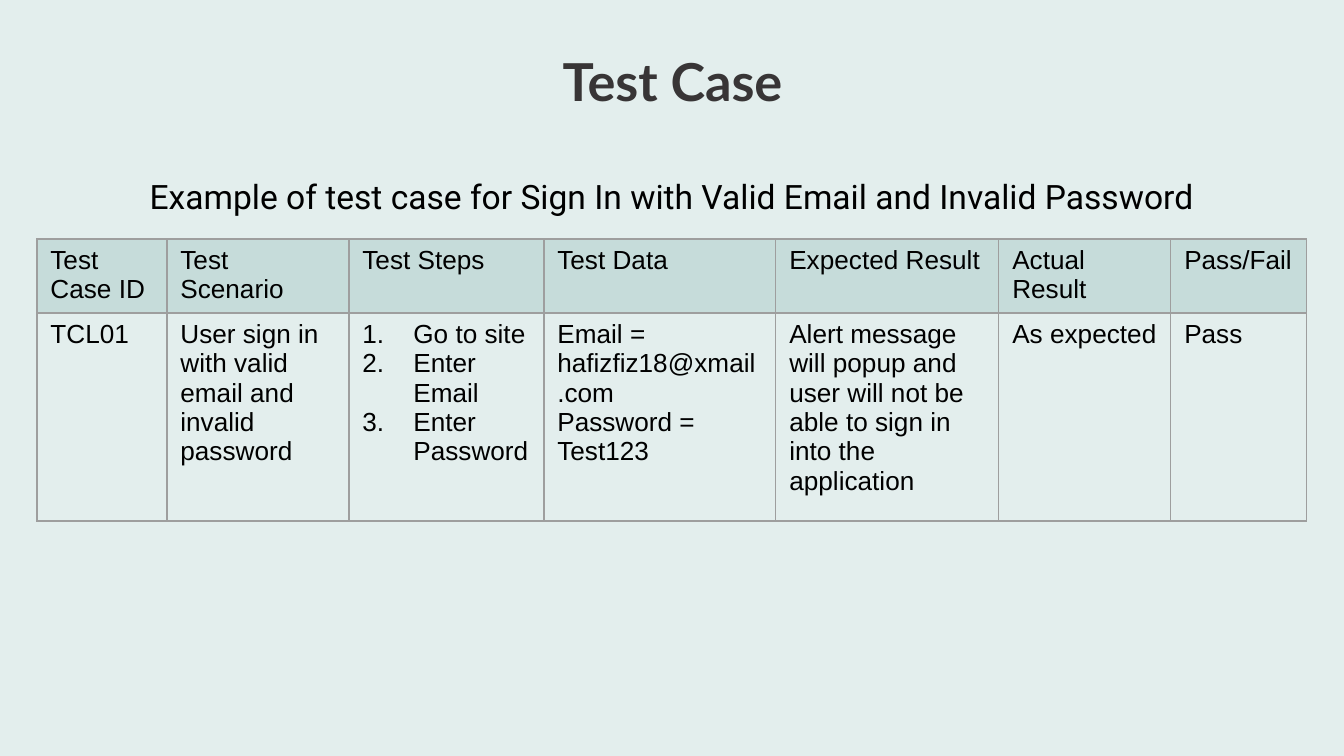
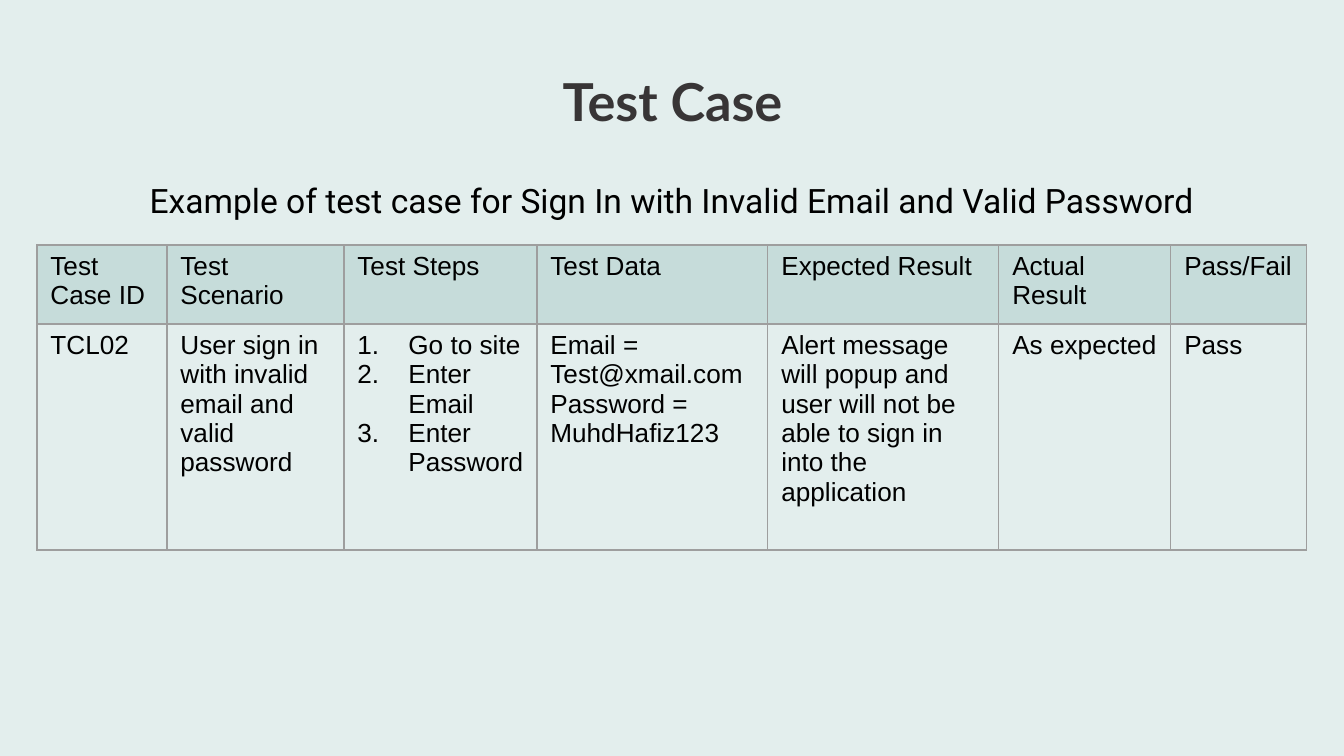
import pptx
import pptx.dml.color
import pptx.enum.text
import pptx.oxml
import pptx.oxml.ns
import pptx.util

PAPER, HEADER, GRID = "E3EEED", "C6DCDA", "9E9E9E"
INK, BLACK = "383536", "000000"
TITLE_FONT = {"name": "Lato", "size": pptx.util.Pt(28), "bold": True}
CAPTION_FONT = {"name": "Roboto", "size": pptx.util.Pt(18)}
CELL_FONT = {"name": "Arial", "size": pptx.util.Pt(14)}
SIDES = ("left", "top", "right", "bottom")
STEP_INDENT = 51
HEADINGS = ["Test Case ID", "Test Scenario", "Test Steps", "Test Data",
            "Expected Result", "Actual Result", "Pass/Fail"]
STEPS = ["Go to site", "Enter Email", "Enter Password"]
ALERT = "Alert message will popup and user will not be able to sign in into the application"

CASES = [
    {
        "title_box": (106, 36, 1133, 87),
        "caption_box": (37, 169, 1270, 95),
        "caption": "Example of test case for Sign In with Valid Email and Invalid Password",
        "table_box": (37, 239, 1270, 282),
        "columns": [130, 182, 195, 232, 223, 172, 136],
        "header_height": 74,
        "values": ["TCL01", "User sign in with valid email and invalid password", STEPS,
                   ["Email = hafizfiz18@xmail.com", "Password = Test123"],
                   ALERT, "As expected", "Pass"],
    },
    {
        "title_box": (106, 56, 1133, 149),
        "caption_box": (37, 173, 1270, 136),
        "caption": "Example of test case for Sign In with Invalid Email and Valid Password",
        "table_box": (37, 245, 1270, 305),
        "columns": [130, 177, 193, 231, 231, 172, 136],
        "header_height": 79,
        "values": ["TCL02", "User sign in with invalid email and valid password", STEPS,
                   ["Email = Test@xmail.com", "Password = MuhdHafiz123"],
                   ALERT, "As expected", "Pass"],
    },
]


def px(length):
    return pptx.util.Emu(round(length * 914400 / 134.4))


def color(value):
    return pptx.dml.color.RGBColor.from_string(value)


def set_attributes(target, values):
    for name, value in values.items():
        setattr(target, name, value)


def format_font(para, values, ink):
    set_attributes(para.font, values)
    para.font.color.rgb = color(ink)


def xml(markup):
    namespace = pptx.oxml.ns.nsdecls("a")
    return pptx.oxml.parse_xml(markup.replace(">", f" {namespace}>", 1))


def fill_title(page, box, text):
    title = page.shapes.title
    set_attributes(title, dict(zip(("left", "top", "width", "height"), map(px, box))))
    frame = title.text_frame
    frame.text = text
    set_attributes(frame, {f"margin_{side}": pptx.util.Inches(0.1) for side in SIDES})
    set_attributes(frame, {"vertical_anchor": pptx.enum.text.MSO_ANCHOR.TOP,
                           "auto_size": pptx.enum.text.MSO_AUTO_SIZE.NONE,
                           "word_wrap": True})
    para = frame.paragraphs[0]
    para.alignment = pptx.enum.text.PP_ALIGN.CENTER
    format_font(para, TITLE_FONT, INK)


def add_caption(page, box, text):
    frame = page.shapes.add_textbox(*map(px, box)).text_frame
    frame.text = text
    set_attributes(frame, {"word_wrap": True,
                           "auto_size": pptx.enum.text.MSO_AUTO_SIZE.SHAPE_TO_FIT_TEXT})
    para = frame.paragraphs[0]
    para.alignment = pptx.enum.text.PP_ALIGN.CENTER
    format_font(para, CAPTION_FONT, BLACK)


def number_paragraph(para):
    properties = para._p.get_or_add_pPr()
    properties.set("marL", str(px(STEP_INDENT)))
    properties.set("indent", str(-px(STEP_INDENT)))
    properties.append(xml(f'<a:buClr><a:srgbClr val="{BLACK}"/></a:buClr>'))
    properties.append(xml('<a:buAutoNum type="arabicPeriod"></a:buAutoNum>'))


def add_borders(cell):
    properties = cell._tc.get_or_add_tcPr()
    for index, edge in enumerate(("lnL", "lnR", "lnT", "lnB")):
        line = xml(f'<a:{edge} w="{pptx.util.Pt(0.75)}"><a:solidFill>'
                   f'<a:srgbClr val="{GRID}"/></a:solidFill></a:{edge}>')
        properties.insert(index, line)


def fill_cell(cell, content, is_header):
    lines = [content] if isinstance(content, str) else content
    cell.text_frame.text = "\n".join(lines)
    for para in cell.text_frame.paragraphs:
        if content is STEPS:
            number_paragraph(para)
        format_font(para, CELL_FONT, BLACK)
    if is_header:
        cell.fill.solid()
        cell.fill.fore_color.rgb = color(HEADER)
    else:
        cell.fill.background()
    add_borders(cell)


def add_case_table(page, box, columns, header_height, values):
    rows = [HEADINGS, values]
    table = page.shapes.add_table(len(rows), len(columns), *map(px, box)).table
    set_attributes(table, {"first_row": False, "horz_banding": False})
    for column, width in zip(table.columns, columns):
        column.width = px(width)
    for row, height in zip(table.rows, (header_height, box[3] - header_height)):
        row.height = px(height)
    for row_index, contents in enumerate(rows):
        for column_index, content in enumerate(contents):
            fill_cell(table.cell(row_index, column_index), content, row_index == 0)


def add_case_page(deck, case):
    page = deck.slides.add_slide(deck.slide_layouts[5])
    fill_title(page, case["title_box"], "Test Case")
    add_case_table(page, case["table_box"], case["columns"],
                   case["header_height"], case["values"])
    add_caption(page, case["caption_box"], case["caption"])


def main():
    deck = pptx.Presentation()
    set_attributes(deck, {"slide_width": px(1344), "slide_height": px(756)})
    # Shared background
    background = deck.slide_master.background.fill
    background.solid()
    background.fore_color.rgb = color(PAPER)
    # One page per test case
    for case in CASES:
        add_case_page(deck, case)
    deck.save("out.pptx")


if __name__ == "__main__":
    main()
